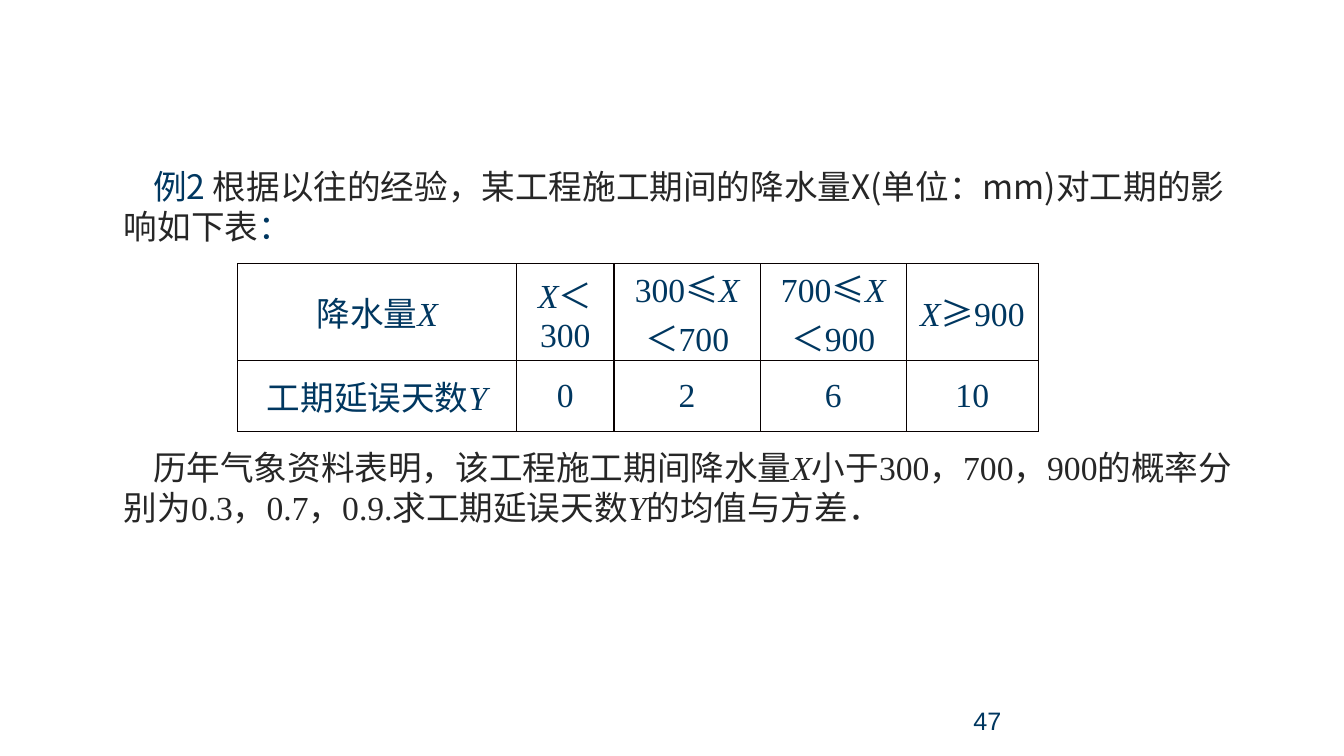
from dataclasses import dataclass

from lxml import etree
from pptx import Presentation
from pptx import util as u
from pptx.dml.color import RGBColor
from pptx.enum import text
from pptx.oxml import ns

COLORS = {"navy": "003760", "ink": "262626", "rule": "080000", "paper": "FFFFFF"}
CJK, SERIF, SANS = "Noto Sans CJK SC", "Times New Roman", "Arial"
COLUMNS, ROWS = 160, 90  # square grid of the whole slide
UNIT = u.Inches(1 / 12)


@dataclass(frozen=True)
class Run:
    text: str
    font: str = SERIF
    color: str = "navy"
    italic: bool = False
    size: int = 24


@dataclass(frozen=True)
class Box:
    left: float
    top: float
    width: float
    height: float

    def emu(self) -> list[int]:
        return [grid(n) for n in (self.left, self.top, self.width, self.height)]


def grid(n: float) -> int:
    return u.Emu(round(n * UNIT))


def var(name: str, color: str = "navy") -> Run:
    """An italic variable name."""
    return Run(name, color=color, italic=True)


def ink(words: str, font: str = SERIF) -> Run:
    return Run(words, font, "ink")


def add_runs(p, runs: list[Run]) -> None:
    for run in runs:
        r = p.add_run()
        r.text = run.text
        r.font.size = u.Pt(run.size)
        r.font.italic = run.italic
        r.font.color.rgb = RGBColor.from_string(COLORS[run.color])
        r.font.name = run.font
        ea = etree.SubElement(r.font._element, ns.qn("a:ea"))
        ea.set("typeface", CJK)


def add_text(s, box: Box, paragraphs: list[list[Run]]):
    tf = s.shapes.add_textbox(*box.emu()).text_frame
    tf.word_wrap = True
    for i, runs in enumerate(paragraphs):
        p = tf.add_paragraph() if i else tf.paragraphs[0]
        add_runs(p, runs)
    return tf


def set_borders(cell) -> None:
    tc_pr = cell._tc.get_or_add_tcPr()
    for i, side in enumerate(("lnL", "lnR", "lnT", "lnB")):
        ln = etree.Element(ns.qn(f"a:{side}"), w=str(u.Pt(1)))
        fill = etree.SubElement(ln, ns.qn("a:solidFill"))
        etree.SubElement(fill, ns.qn("a:srgbClr"), val=COLORS["rule"])
        tc_pr.insert(i, ln)


def add_delay_table(s, left: float, top: float, widths: list[float],
                    heights: list[float], cells: list[list[list[Run]]]) -> None:
    box = Box(left, top, sum(widths), sum(heights))
    table = s.shapes.add_table(len(heights), len(widths), *box.emu()).table
    table.first_row = table.horz_banding = False
    for column, width in zip(table.columns, widths):
        column.width = grid(width)
    for row, height, row_cells in zip(table.rows, heights, cells):
        row.height = grid(height)
        for cell, runs in zip(row.cells, row_cells):
            cell.margin_left = cell.margin_right = u.Inches(0.07)
            cell.margin_top = cell.margin_bottom = 0
            cell.vertical_anchor = text.MSO_ANCHOR.MIDDLE
            cell.fill.solid()
            cell.fill.fore_color.rgb = RGBColor.from_string(COLORS["paper"])
            set_borders(cell)
            p = cell.text_frame.paragraphs[0]
            p.alignment = text.PP_ALIGN.CENTER
            add_runs(p, runs)


def between(low: int, high: int) -> list[Run]:
    return [Run(str(low)), Run("≤", CJK), var("X"), Run(f"＜{high}")]


QUESTION = [
    [
        Run("例2 ", CJK),
        ink("根据以往的经验，某工程施工期间的降水量X(单位：mm)对工期的影响如下表", CJK),
        Run("：", CJK),
    ],
    [
        ink("历年", SANS), ink("气象资料表明，该工程施工期间降水量"), var("X", "ink"),
        ink("小于", SANS), ink("300，700，900"), ink("的概率分别为", SANS),
        ink("0.3，0.7，0.9."), ink("求工期延误天数", SANS), var("Y", "ink"),
        ink("的均值与方差．", SANS),
    ],
]
RAINFALL = [
    [Run("降水量"), var("X")],
    [var("X"), Run("＜300")],
    between(300, 700),
    between(700, 900),
    [var("X"), Run("≥", CJK), Run("900")],
]
DELAY = [[Run("工期延误天数"), var("Y")]] + [[Run(str(d))] for d in (0, 2, 6, 10)]


def main() -> None:
    prs = Presentation()
    prs.slide_width, prs.slide_height = grid(COLUMNS), grid(ROWS)
    s = prs.slides.add_slide(prs.slide_layouts[6])

    add_text(s, Box(114.7, 83.4, 37.3, 4.8), [[Run("47", SANS, size=18)]])

    tf = add_text(s, Box(13.56, 19.2, 134.5, 44.7), QUESTION)
    for p in tf.paragraphs:
        p.line_spacing = u.Pt(28.5)
        p._p.get_or_add_pPr().set("indent", str(u.Inches(0.29)))
    tf.paragraphs[1].space_before = u.Pt(144)  # room for the table

    add_delay_table(s, 28.3, 31.4, [33.2, 11.6, 17.4, 17.4, 15.7], [11.5, 8.5],
                    [RAINFALL, DELAY])
    prs.save("out.pptx")


if __name__ == "__main__":
    main()
